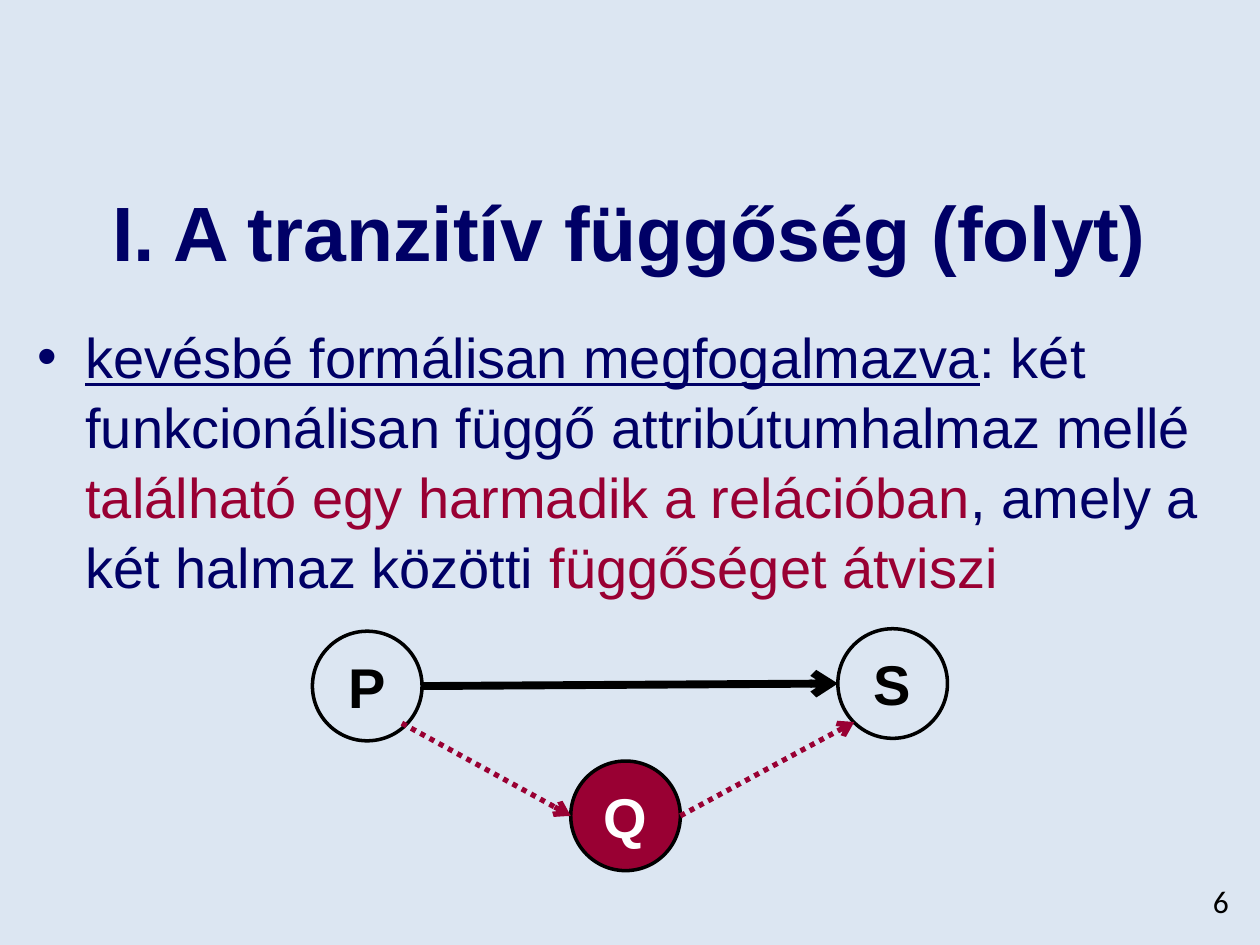
import pptx
import pptx.dml.color
import pptx.enum.dml
import pptx.enum.shapes
import pptx.enum.text
import pptx.oxml.ns
import pptx.util
from lxml import etree
from pptx.util import Inches

COLORS = {"background": "DCE6F2", "navy": "000066", "crimson": "990033",
          "black": "000000", "white": "FFFFFF"}
ALIGN = pptx.enum.text.PP_ALIGN
ANCHOR = pptx.enum.text.MSO_ANCHOR
DIAMETER = 0.87


def rgb(name):
    return pptx.dml.color.RGBColor.from_string(COLORS[name])


def add_xml(parent, tag, **attributes):
    return etree.SubElement(parent, pptx.oxml.ns.qn(tag), attributes)


def set_font(font, size, color, name="Arial", bold=False):
    font.name, font.size, font.bold = name, pptx.util.Pt(size), bold
    font.color.rgb = rgb(color)


def add_text_box(slide, left, top, width, height, align, anchor=ANCHOR.TOP):
    """Add a wrapping text box and return its first paragraph."""
    box = slide.shapes.add_textbox(Inches(left), Inches(top), Inches(width), Inches(height))
    box.text_frame.word_wrap = True
    box.text_frame.vertical_anchor = anchor
    paragraph = box.text_frame.paragraphs[0]
    paragraph.alignment = align
    return paragraph


def add_title(slide, left, top, width, height):
    paragraph = add_text_box(slide, left, top, width, height, ALIGN.CENTER, ANCHOR.MIDDLE)
    paragraph.text = "I. A tranzitív függőség (folyt)"
    set_font(paragraph.font, 44, "navy", bold=True)


def add_definition(slide, left, top, width, height):
    paragraph = add_text_box(slide, left, top, width, height, ALIGN.LEFT)
    paragraph.line_spacing = 1.04
    properties = paragraph._p.get_or_add_pPr()
    properties.set("marL", str(Inches(0.38)))
    properties.set("indent", str(-Inches(0.38)))
    add_xml(properties, "a:buFont", typeface="Arial")
    add_xml(properties, "a:buChar", char="•")
    set_font(paragraph.font, 32, "navy")
    for text, color, underline in (
        ("kevésbé formálisan megfogalmazva", "navy", True),
        (": két funkcionálisan függő attribútumhalmaz mellé ", "navy", False),
        ("található egy harmadik a relációban", "crimson", False),
        (", amely a két halmaz közötti ", "navy", False),
        ("függőséget átviszi", "crimson", False),
    ):
        run = paragraph.add_run()
        run.text = text
        set_font(run.font, 32, color)
        run.font.underline = underline


def add_node(slide, label, left, top, fill=None, text_color="black"):
    node = slide.shapes.add_shape(pptx.enum.shapes.MSO_SHAPE.OVAL, Inches(left), Inches(top),
                                  Inches(DIAMETER), Inches(DIAMETER))
    node.shadow.inherit = False
    if fill:
        node.fill.solid()
        node.fill.fore_color.rgb = rgb(fill)
    else:
        node.fill.background()
    node.line.color.rgb = rgb("black")
    node.line.width = pptx.util.Pt(2)
    frame = node.text_frame
    frame.margin_left = frame.margin_right = frame.margin_top = frame.margin_bottom = 0
    frame.word_wrap = False
    frame.vertical_anchor = ANCHOR.MIDDLE
    paragraph = frame.paragraphs[0]
    paragraph.text = label
    paragraph.alignment = ALIGN.CENTER
    set_font(paragraph.font, 32, text_color, bold=True)


def add_arrow(slide, start, end, color, width, dotted=False):
    arrow = slide.shapes.add_connector(pptx.enum.shapes.MSO_CONNECTOR.STRAIGHT,
                                       *map(Inches, start + end))
    arrow.line.color.rgb = rgb(color)
    arrow.line.width = pptx.util.Pt(width)
    if dotted:
        arrow.line.dash_style = pptx.enum.dml.MSO_LINE.ROUND_DOT
    add_xml(arrow.line._get_or_add_ln(), "a:tailEnd", type="arrow")
    add_xml(arrow._element.spPr, "a:effectLst")


def add_dependency_diagram(slide, left, top):
    """Draw P -> S directly and P -> Q -> S through the transitive set."""
    radius = DIAMETER / 2
    p_left, p_top = left, top + 0.02
    s_left, s_top = left + 4.17, top
    q_left, q_top = left + 2.05, top + 1.05
    add_node(slide, "P", p_left, p_top)
    add_node(slide, "S", s_left, s_top)
    add_node(slide, "Q", q_left, q_top, "crimson", "white")
    add_arrow(slide, (p_left + DIAMETER, p_top + radius), (s_left, s_top + radius), "black", 4.5)
    add_arrow(slide, (p_left + 0.71, p_top + 0.73), (q_left, q_top + radius),
              "crimson", 3, dotted=True)
    add_arrow(slide, (q_left + DIAMETER, q_top + radius), (s_left + 0.13, s_top + 0.74),
              "crimson", 3, dotted=True)


def add_page_number(slide, left, top, width, height):
    paragraph = add_text_box(slide, left, top, width, height, ALIGN.RIGHT)
    paragraph.text = "6"
    set_font(paragraph.font, 18, "black", "Calibri")


def main():
    presentation = pptx.Presentation()
    presentation.slide_width, presentation.slide_height = Inches(10), Inches(7.5)
    slide = presentation.slides.add_slide(presentation.slide_layouts[6])
    slide.background.fill.solid()
    slide.background.fill.fore_color.rgb = rgb("background")
    add_title(slide, 0, 1.36, 10, 0.94)
    add_page_number(slide, 7.17, 6.95, 2.68, 0.4)
    add_definition(slide, 0.2, 2.49, 9.61, 2.28)
    add_dependency_diagram(slide, 2.48, 4.99)
    presentation.save("out.pptx")


if __name__ == "__main__":
    main()
